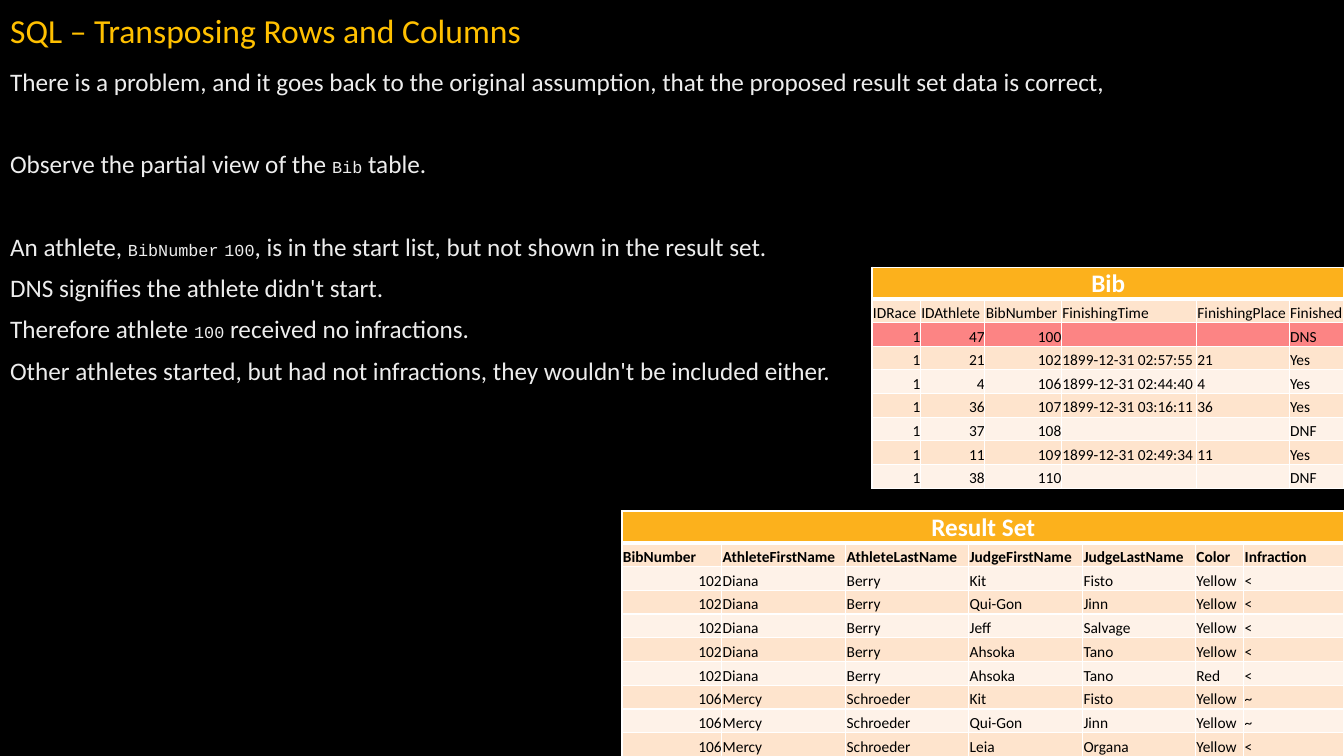
from lxml.etree import SubElement as sub
from pptx import Presentation
from pptx.dml.color import RGBColor
from pptx.enum.text import MSO_ANCHOR as Anchor, MSO_AUTO_SIZE as Auto, PP_ALIGN as Align
from pptx.oxml import parse_xml
from pptx.oxml.ns import nsdecls, qn
from pptx.util import Pt

PX = 9144  # 100 px to the inch
SANS, MONO = "Calibri", "Courier New"
GOLD, WHITE, BLACK = "FFC000", "FFFFFF", "000000"
HEAD, DARK, LIGHT, ALERT = "FCB11C", "FEE4CD", "FEF2E8", "FC8484"
HEAD_H = 31
SHADES = ((0, "BFBFBF"), (34, "EDEDED"), (100, "FFFFFF"))

# Body lines: (space before in points, text with code between backticks)
LINES = [
    (0, "There is a problem, and it goes back to the original assumption, "
        "that the proposed result set data is correct,"),
    (39.5, "Observe the partial view of the `Bib` table."),
    (39.5, "An athlete, `BibNumber` `100`, is in the start list, "
           "but not shown in the result set."),
    (10, "DNS signifies the athlete didn't start."),
    (10, "Therefore athlete `100` received no infractions."),
    (10, "Other athletes started, but had not infractions, "
         "they wouldn't be included either."),
]

BIB_COLS = [48, 64, 76, 134, 92, 54]
BIB = [
    ("IDRace", "IDAthlete", "BibNumber", "FinishingTime", "FinishingPlace", "Finished"),
    ("1", "47", "100", "", "", "DNS"),
    ("1", "21", "102", "1899-12-31 02:57:55", "21", "Yes"),
    ("1", "4", "106", "1899-12-31 02:44:40", "4", "Yes"),
    ("1", "36", "107", "1899-12-31 03:16:11", "36", "Yes"),
    ("1", "37", "108", "", "", "DNF"),
    ("1", "11", "109", "1899-12-31 02:49:34", "11", "Yes"),
    ("1", "38", "110", "", "", "DNF"),
]

SET_COLS = [99, 123, 122, 113, 112, 48, 99]
DIANA, MERCY = ("102", "Diana", "Berry"), ("106", "Mercy", "Schroeder")
SET = [
    ("BibNumber", "AthleteFirstName", "AthleteLastName", "JudgeFirstName",
     "JudgeLastName", "Color", "Infraction"),
    (*DIANA, "Kit", "Fisto", "Yellow", "<"),
    (*DIANA, "Qui-Gon", "Jinn", "Yellow", "<"),
    (*DIANA, "Jeff", "Salvage", "Yellow", "<"),
    (*DIANA, "Ahsoka", "Tano", "Yellow", "<"),
    (*DIANA, "Ahsoka", "Tano", "Red", "<"),
    (*MERCY, "Kit", "Fisto", "Yellow", "~"),
    (*MERCY, "Qui-Gon", "Jinn", "Yellow", "~"),
    (*MERCY, "Leia", "Organa", "Yellow", "<"),
]


def px(*sizes):
    return [round(n * PX) for n in sizes]


def paint(fill, tint):
    fill.solid()
    fill.fore_color.rgb = RGBColor.from_string(tint)


def style(font, size, tint=None, name=SANS, bold=False):
    font.size, font.name, font.bold = Pt(size), name, bold
    if tint:
        paint(font.fill, tint)


def shade(run):
    """Give a run the grey to white gradient."""
    stops = "".join(f'<a:gs pos="{at * 1000}"><a:srgbClr val="{tint}"/></a:gs>'
                    for at, tint in SHADES)
    grad = parse_xml(f'<a:gradFill {nsdecls("a")}><a:gsLst>{stops}</a:gsLst>'
                     '<a:lin ang="4800000" scaled="0"/></a:gradFill>')
    run.font._element.insert(0, grad)


def place(shape, box, anchor):
    shape.left, shape.top, shape.width, shape.height = px(*box)
    frame = shape.text_frame
    frame.word_wrap, frame.auto_size = True, Auto.NONE
    frame.vertical_anchor = anchor
    return frame


def add_title(slide, box, text):
    frame = place(slide.shapes.title, box, Anchor.MIDDLE)
    frame.text = text
    para = frame.paragraphs[0]
    para.alignment, para.line_spacing = Align.LEFT, 0.9
    style(para.runs[0].font, 24, GOLD)


def add_body(slide, box, lines):
    frame = place(slide.placeholders[1], box, Anchor.TOP)
    for i, (gap, text) in enumerate(lines):
        para = frame.add_paragraph() if i else frame.paragraphs[0]
        props = para._p.get_or_add_pPr()
        props.set("marL", "0")
        props.set("indent", "0")
        sub(props, qn("a:buNone"))
        para.line_spacing, para.space_before = 0.9, Pt(gap)
        for k, part in enumerate(text.split("`")):
            run = para.add_run()
            run.text = part
            code = k % 2
            style(run.font, 12 if code else 18, name=MONO if code else SANS)
            shade(run)


def edge(cell, top, base):
    """Draw white borders, with top and base widths in points."""
    props = cell._tc.get_or_add_tcPr()
    for i, (side, width) in enumerate(zip("LRTB", (1, 1, top, base))):
        props.insert(i, parse_xml(
            f'<a:ln{side} {nsdecls("a")} w="{Pt(width)}"><a:solidFill>'
            f'<a:srgbClr val="{WHITE}"/></a:solidFill></a:ln{side}>'))


def fill_cell(cell, text, tint, align, size, ink, bold):
    cell.margin_left, cell.margin_right, cell.margin_top, cell.margin_bottom = px(1, 0, 1, 0)
    cell.vertical_anchor = Anchor.BOTTOM
    paint(cell.fill, tint)
    para = cell.text_frame.paragraphs[0]
    para.alignment = align
    if text:
        para.text = text
        style(para.runs[0].font, size, ink, bold=bold)
    else:
        sub(para._p, qn("a:endParaRPr"), sz=str(size * 100))


def add_grid(slide, box, title, cols, rows, nums, bold, alert=None):
    """Add a titled table whose first nums columns hold numbers."""
    count = len(rows)
    grid = slide.shapes.add_table(count + 1, len(cols), *px(*box)).table
    for col, width in zip(grid.columns, cols):
        col.width = width * PX
    for i, row in enumerate(grid.rows):
        row.height = px((box[3] - HEAD_H) / count if i else HEAD_H)[0]
    # Title row
    grid.cell(0, 0).merge(grid.cell(0, len(cols) - 1))
    fill_cell(grid.cell(0, 0), title, HEAD, Align.CENTER, 18, WHITE, True)
    for c in range(len(cols)):
        edge(grid.cell(0, c), 1, 3)
    # Column names and data
    for r, row in enumerate(rows):
        tint = ALERT if r == alert else LIGHT if r % 2 else DARK
        for c, text in enumerate(row):
            cell = grid.cell(r + 1, c)
            align = Align.RIGHT if r and c < nums else Align.LEFT
            fill_cell(cell, text, tint, align, 11, BLACK, bold and r == 0)
            edge(cell, 1 if r else 3, 1)


def main():
    deck = Presentation()
    deck.slide_width, deck.slide_height = px(1333.33, 750)
    slide = deck.slides.add_slide(deck.slide_layouts[1])
    paint(slide.background.fill, BLACK)
    add_title(slide, (0, 0, 1333, 64), "SQL – Transposing Rows and Columns")
    add_body(slide, (0, 64, 1333, 686), LINES)
    add_grid(slide, (617, 507, 716, 243), "Result Set", SET_COLS, SET, 1, True)
    add_grid(slide, (865, 265, 468, 219), "Bib", BIB_COLS, BIB, 3, False, alert=1)
    deck.save("out.pptx")


if __name__ == "__main__":
    main()
